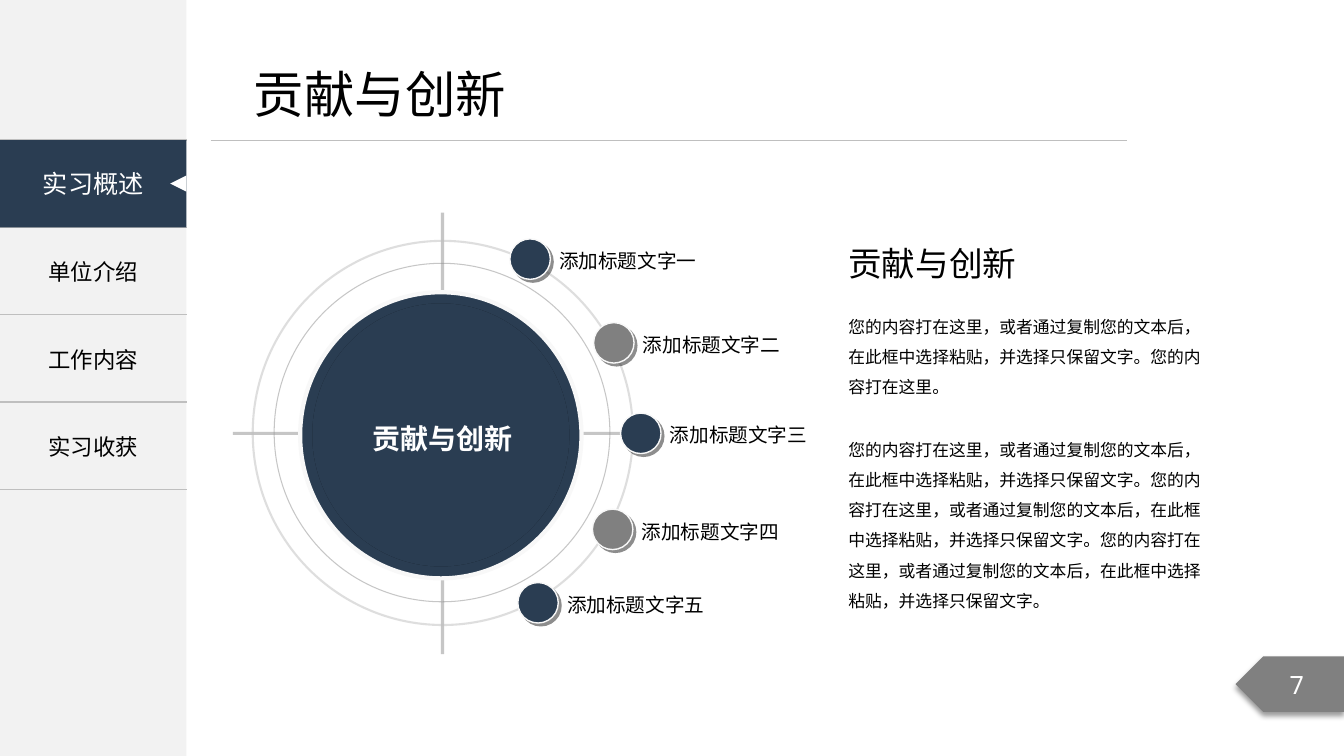
from dataclasses import dataclass
from typing import Any, Optional

import lxml.etree
import pptx
import pptx.dml.color
import pptx.enum.shapes
import pptx.enum.text
import pptx.oxml.ns
import pptx.util

Cm = pptx.util.Cm
Pt = pptx.util.Pt
Shapes = pptx.enum.shapes.MSO_SHAPE
Align = pptx.enum.text.PP_ALIGN
Anchor = pptx.enum.text.MSO_ANCHOR
qn = pptx.oxml.ns.qn

NAVY, GRAY, PALE, RULE = "2A3D52", "808080", "F2F2F2", "BFBFBF"
EDGE, CROSS, WHITE, BLACK = "F8F8F8", "8F8F8F", "FFFFFF", "000000"
CJK = "Noto Sans CJK SC"
SIDEBAR_WIDTH, MENU_TOP, ROW_HEIGHT = 4.7, 3.53, 2.2
HEADING = "贡献与创新"
INVITE = "您的内容打在这里，或者通过复制您的文本后，在此框中选择粘贴，并选择只保留文字。"
ENDING = "您的内容打在这里。"


@dataclass
class Shadow:
    color: str
    alpha: int
    blur: float
    distance: float
    angle: int


@dataclass
class Disc:
    x: float
    y: float
    width: float
    height: float
    fill: Optional[str] = None
    line: Optional[str] = None
    weight: float = 0
    alpha: int = 100
    shadow: Optional[Shadow] = None


@dataclass
class Point:
    x: float
    y: float
    color: str
    label: str


@dataclass
class Stroke:
    ends: tuple[float, float, float, float]
    color: str
    weight: float
    alpha: int = 100


DOT_SHADOW = Shadow("1C1C1C", 50, 0, 2.8, 45)
RINGS = [
    Disc(11.14, 10.9, 8.46, 8.53, None, CROSS, 0.75, 50),
    Disc(11.16, 10.91, 9.58, 9.68, None, RULE, 1.5, 50),
    Disc(11.11, 10.97, 7.09, 7.21, NAVY, EDGE, 3),
    Disc(11.11, 10.96, 6.48, 6.63, NAVY, shadow=Shadow(BLACK, 50, 0, 0, 0)),
]
CORE = Disc(11.15, 11.04, 4.17, 4.24, NAVY)
POINTS = [
    Point(13.36, 6.53, NAVY, "添加标题文字一"),
    Point(15.47, 8.64, GRAY, "添加标题文字二"),
    Point(16.15, 10.92, NAVY, "添加标题文字三"),
    Point(15.44, 13.34, GRAY, "添加标题文字四"),
    Point(13.56, 15.19, NAVY, "添加标题文字五"),
]
STROKES = [
    Stroke((5.31, 3.53, 28.4, 3.53), RULE, 0.5),
    Stroke((5.87, 10.92, 16.43, 10.92), CROSS, 2.25, 50),
    Stroke((11.15, 5.36, 11.15, 16.48), CROSS, 2.25, 50),
]


def paint(fill: Any, color: str) -> None:
    fill.solid()
    fill.fore_color.rgb = pptx.dml.color.RGBColor.from_string(color)


def assign(target: Any, values: dict[str, Any]) -> None:
    for name, value in values.items():
        setattr(target, name, value)


def element(parent: Any, tag: str, **attributes: Any) -> Any:
    values = {name: str(value) for name, value in attributes.items()}
    return lxml.etree.SubElement(parent, qn(tag), values)


def outline(shape: Any, color: str, weight: float, alpha: int) -> None:
    paint(shape.line.fill, color)
    shape.line.width = Pt(weight)
    if alpha < 100:
        swatch = next(shape._element.spPr.find(qn("a:ln")).iter(qn("a:srgbClr")))
        element(swatch, "a:alpha", val=alpha * 1000)


def draw_shape(page: Any, kind: Any, at: tuple, fill: Optional[str],
               shadow: Optional[Shadow] = None) -> Any:
    shape = page.shapes.add_shape(kind, *map(Cm, at))
    shape.shadow.inherit = False
    shape.line.fill.background()
    if fill:
        paint(shape.fill, fill)
    else:
        shape.fill.background()
    if shadow:
        effects = shape._element.spPr.find(qn("a:effectLst"))
        outer = element(effects, "a:outerShdw", blurRad=Pt(shadow.blur), dist=Pt(shadow.distance),
                        dir=shadow.angle * 60000, algn="ctr", rotWithShape=0)
        swatch = element(outer, "a:srgbClr", val=shadow.color)
        element(swatch, "a:alpha", val=shadow.alpha * 1000)
    return shape


def draw_disc(page: Any, disc: Disc) -> Any:
    at = (disc.x - disc.width / 2, disc.y - disc.height / 2, disc.width, disc.height)
    shape = draw_shape(page, Shapes.OVAL, at, disc.fill, disc.shadow)
    if disc.line:
        outline(shape, disc.line, disc.weight, disc.alpha)
    return shape


def draw_stroke(page: Any, stroke: Stroke) -> None:
    line = page.shapes.add_connector(pptx.enum.shapes.MSO_CONNECTOR.STRAIGHT, *map(Cm, stroke.ends))
    outline(line, stroke.color, stroke.weight, stroke.alpha)
    element(line._element.spPr, "a:effectLst")


def write(frame: Any, text: str, size: float, color: str = BLACK, font: str = CJK, bold: bool = False,
          align: Any = Align.LEFT, spacing: float = 1.0) -> None:
    para = frame.paragraphs[0]
    assign(para, {"alignment": align, "line_spacing": spacing, "space_before": Pt(0)})
    span = para.add_run()
    span.text = text
    assign(span.font, {"size": Pt(size), "bold": bold, "name": font})
    paint(span.font.fill, color)
    element(span._r.get_or_add_rPr(), "a:ea", typeface=CJK)


def frame_box(box: Any, anchor: Any, wrap: bool = True, side: float = 0.2, edge: float = 0.1) -> Any:
    frame = box.text_frame
    assign(frame, {"word_wrap": wrap, "vertical_anchor": anchor,
                   "auto_size": pptx.enum.text.MSO_AUTO_SIZE.NONE,
                   "margin_left": Cm(side), "margin_right": Cm(side),
                   "margin_top": Cm(edge), "margin_bottom": Cm(edge)})
    return frame


def place(box: Any, at: tuple) -> Any:
    assign(box, dict(zip(("left", "top", "width", "height"), map(Cm, at))))
    return box


def draw_menu(page: Any) -> None:
    items = ["", "单位介绍", "工作内容", "实习收获"]
    at = (0, MENU_TOP, SIDEBAR_WIDTH, ROW_HEIGHT * len(items))
    table = page.shapes.add_table(len(items), 1, *map(Cm, at)).table
    assign(table, {"first_row": False, "horz_banding": False})
    for row, item in zip(table.rows, items):
        row.height = Cm(ROW_HEIGHT)
        cell = row.cells[0]
        cell.vertical_anchor = Anchor.MIDDLE
        properties = cell._tc.get_or_add_tcPr()
        for side in ("a:lnL", "a:lnR"):
            element(element(properties, side, w=0), "a:noFill")
        for side in ("a:lnT", "a:lnB"):
            border = element(properties, side, w=Pt(1))
            element(element(border, "a:solidFill"), "a:srgbClr", val=RULE)
        cell.fill.background()
        if item:
            write(cell.text_frame, item, 16, align=Align.CENTER)
    active = draw_shape(page, Shapes.RECTANGLE, (0, MENU_TOP, SIDEBAR_WIDTH, ROW_HEIGHT), NAVY)
    write(frame_box(active, Anchor.MIDDLE), "实习概述", 18, WHITE, align=Align.CENTER)
    pointer = draw_shape(page, Shapes.ISOSCELES_TRIANGLE, (4.29, 4.42, 0.41, 0.41), WHITE)
    pointer.rotation = 270


def draw_point(page: Any, point: Point) -> None:
    draw_disc(page, Disc(point.x, point.y, 1.02, 1.02, point.color, EDGE, 1, shadow=DOT_SHADOW))
    draw_disc(page, Disc(point.x, point.y, 0.84, 0.84, point.color))
    label = page.shapes.add_textbox(*map(Cm, (point.x + 0.53, point.y - 0.36, 6.2, 0.81)))
    write(frame_box(label, Anchor.MIDDLE), point.label, 14, font="Arial")


def draw_body(box: Any, at: tuple, text: str) -> None:
    frame = frame_box(place(box, at), Anchor.TOP)
    properties = frame.paragraphs[0]._p.get_or_add_pPr()
    assign(properties, {"marL": 0, "indent": 0}) if hasattr(properties, "marL") else None
    properties.set("marL", "0")
    properties.set("indent", "0")
    element(properties, "a:buNone")
    write(frame, text, 12, spacing=1.5)


def main() -> None:
    deck = pptx.Presentation()
    assign(deck, {"slide_width": Cm(33.87), "slide_height": Cm(19.05)})
    page = deck.slides.add_slide(deck.slide_layouts[3])
    title, first, second = page.placeholders
    title_frame = frame_box(place(title, (6.15, 1.45, 6.93, 1.8)), Anchor.TOP, False, 0.25, 0.13)
    write(title_frame, HEADING, 36)
    draw_body(first, (21.18, 7.62, 9.32, 3.28), INVITE + ENDING)
    draw_body(second, (21.18, 10.72, 9.63, 4.72), INVITE * 3)
    subheading = page.shapes.add_textbox(*map(Cm, (21.18, 6.02, 4.8, 1.22)))
    write(frame_box(subheading, Anchor.TOP), HEADING, 24)

    draw_shape(page, Shapes.RECTANGLE, (0, 0, SIDEBAR_WIDTH, 19.05), PALE)
    draw_menu(page)
    tag = draw_shape(page, Shapes.PENTAGON, (31.14, 16.54, 2.73, 1.4), GRAY, Shadow(BLACK, 40, 4, 3, 90))
    tag._element.spPr.xfrm.set("flipH", "1")
    write(frame_box(tag, Anchor.MIDDLE), "7", 18, WHITE, "Noto Sans Mono", align=Align.CENTER)

    for stroke in STROKES:
        draw_stroke(page, stroke)
    for ring in RINGS:
        draw_disc(page, ring)
    core = draw_disc(page, CORE)
    write(frame_box(core, Anchor.MIDDLE, False), HEADING, 20, WHITE, "Arial", True, Align.CENTER)
    for point in POINTS:
        draw_point(page, point)
    deck.save("out.pptx")


if __name__ == "__main__":
    main()
